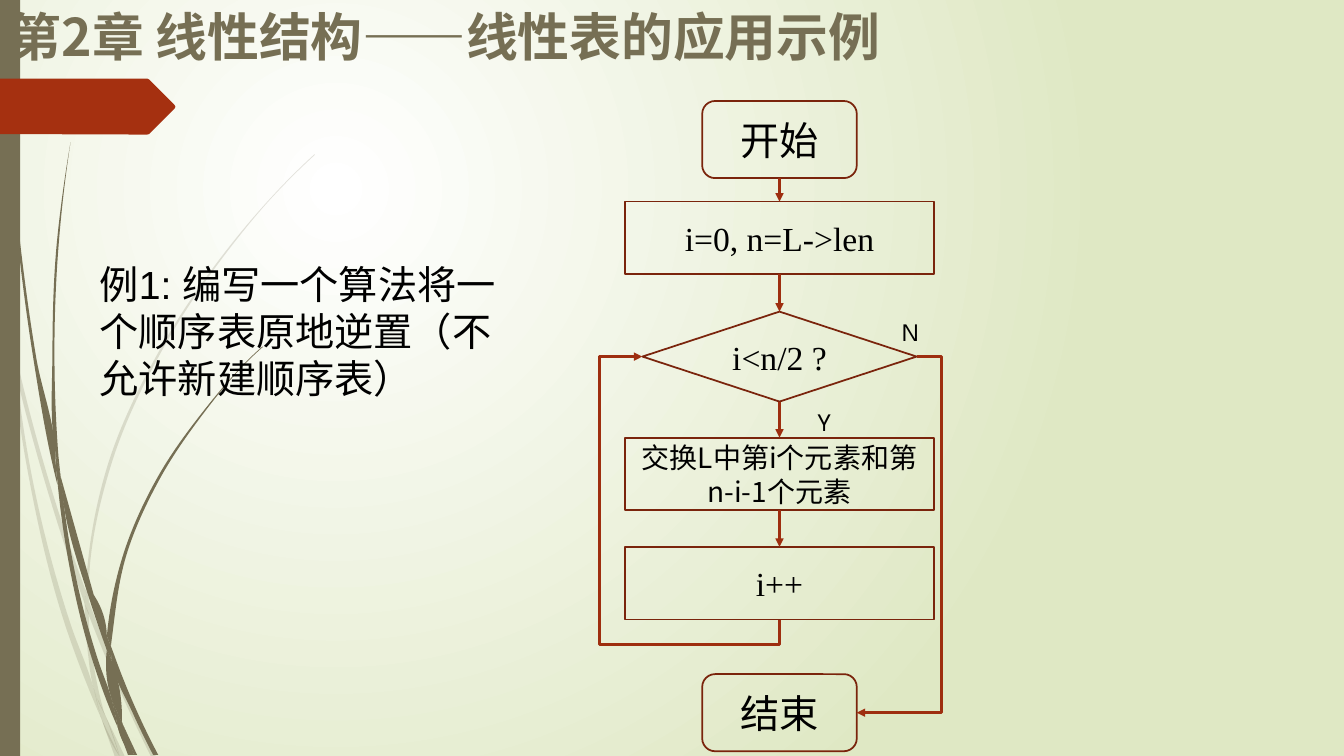
from pptx import Presentation
from pptx import util as u
from pptx.dml.color import RGBColor
from pptx.enum import shapes, text
from pptx.oxml import ns, parse_xml
from lxml import etree

OLIVE = RGBColor(0x76, 0x6F, 0x54)
RUST = RGBColor(0xA5, 0x30, 0x10)
EDGE = RGBColor(0x7A, 0x24, 0x0C)
ARROW = RGBColor(0x9E, 0x2E, 0x0F)
BLACK = RGBColor(0, 0, 0)
HAN, SERIF, SANS, LABEL = "Noto Sans CJK SC", "Times New Roman", "Arial", "League Spartan"

# The slide is a grid of 100 columns by 100 rows
WIDE, HIGH = u.Inches(13.33), u.Inches(7.5)
AXIS = 58  # column through the middle of the flowchart
FINE = 100  # steps in each hundredth of an inch for outlines

# Grass blades in hundredths of an inch: one side | the other side
PALE = """
11,350 9,322 0,282 | 0,299 10,344
17,376 58,522 84,599 | 85,586 62,520 14,345
88,596 92,607 127,692 155,751 | 150,751 123,694 88,610
105,711 119,751 | 124,751
11,350 28,470 65,621 92,693 101,714 | 99,707 93,683 70,619 31,469 17,376
84,599 87,646 93,683 96,692 105,711 | 103,706 91,646 88,610 88,608
85,586 107,461 158,348 228,244 268,197 289,175 312,153 | 312,154 290,175 268,198 229,245 160,349 110,462 88,584 88,596
101,714 114,751 | 119,751
84,599 85,586 | 88,596 88,610
93,683 99,707 101,714 119,751 | 119,751 105,711 96,692
"""
DARK = """
3,0 4,48 7,110 17,233 33,355 56,477 57,481 | 55,457 55,453 36,355 19,232 8,109 5,48 4,0
60,472 64,505 88,592 106,645 | 106,633 106,631 93,590
110,641 111,656 132,708 152,749 | 157,749 136,706 113,649
57,477 68,557 93,659 111,708 117,722 | 116,717 110,691 98,657 72,556 64,505
70,141 62,193 56,245 52,349 55,449 60,472 | 58,453 54,349 58,245 63,193 70,141
122,719 133,749 | 136,749
55,449 55,453 57,477 64,505 | 60,472
106,631 122,551 156,474 204,405 231,373 245,358 260,344 | 261,344 245,359 231,374 205,406 158,476 125,552 111,633 110,641
117,722 127,749 | 131,749
106,645 110,691 116,706 122,719 | 121,716 111,656 109,651
106,631 106,633 106,645 109,651 111,656 | 110,641
110,691 116,717 117,722 130,749 | 133,749 122,719 116,706
"""
RIBBON = "0,78 146,78 148,79 173,104 174,106 173,108 148,133 146,133.5 136,133.5 0,133"


def col(n):
    return round(WIDE * n / 100)


def row(n):
    return round(HIGH * n / 100)


def knots(words):
    return [FINE * complex(*map(float, pair.split(","))) for pair in words.split()]


def bends(pts):
    """Two control points for each stretch of a smooth line."""
    gaps = [b - a for a, b in zip(pts, pts[1:])]
    ways = [g / abs(g) for g in gaps]
    if len(gaps) < 2:
        slopes = ways * 2
    else:
        mid = [(ways[i] * abs(gaps[i + 1]) + ways[i + 1] * abs(gaps[i]))
               / (abs(gaps[i]) + abs(gaps[i + 1])) for i in range(len(gaps) - 1)]
        slopes = [2 * ways[0] - mid[0], *mid, 2 * ways[-1] - mid[-1]]
    return [(pts[i] + slopes[i] * abs(g) / 3, pts[i + 1] - slopes[i + 1] * abs(g) / 3)
            for i, g in enumerate(gaps)]


def plain(shape, color):
    shape.shadow.inherit = False
    shape.fill.solid()
    shape.fill.fore_color.rgb = color
    shape.line.fill.background()


def outline(home, pts, color):
    pairs = [(p.real, p.imag) for p in pts]
    pen = home.build_freeform(*pairs[0], scale=914400 / (100 * FINE))
    pen.add_line_segments(pairs[1:], close=True)
    shape = pen.convert_to_shape()
    plain(shape, color)
    return shape


def blade(home, words, alpha):
    sides = [knots(side) for side in words.split("|")]
    pts = sides[0] + sides[1]
    shape = outline(home, pts, OLIVE)
    props = shape._element.spPr
    left, top = min(p.real for p in pts), min(p.imag for p in pts)
    # Curve both sides, keep the join between them straight
    rules = bends(sides[0]) + [None] + bends(sides[1])
    for line, rule in zip(list(props.iter(ns.qn("a:lnTo"))), rules):
        if rule:
            line.tag = ns.qn("a:cubicBezTo")
            for i, p in enumerate(rule):
                spot = etree.Element(ns.qn("a:pt"))
                spot.set("x", str(round(p.real - left)))
                spot.set("y", str(round(p.imag - top)))
                line.insert(i, spot)
    if alpha:
        tint = props.find(".//" + ns.qn("a:srgbClr"))
        etree.SubElement(tint, ns.qn("a:alpha")).set("val", str(alpha * 1000))


def grass(home, blades, alpha=None):
    group = home.add_group_shape().shapes
    for words in blades.strip().splitlines():
        blade(group, words, alpha)


def write(shape, words, size, font, color=BLACK, bold=None):
    frame = shape.text_frame
    frame.word_wrap = True
    par = frame.paragraphs[0]
    par.text = words
    par.font.size, par.font.name = u.Pt(size), font
    par.font.color.rgb, par.font.bold = color, bold
    return par


def label(home, x, y, w, h, words, size, font, **style):
    box = home.add_textbox(col(x), row(y), col(w), row(h))
    write(box, words, size, font, **style)
    return box


def node(home, kind, mid, w, h, words, size, font):
    """Flowchart step centred on the axis at row mid."""
    shape = home.add_shape(kind, col(AXIS - w / 2), row(mid - h / 2), col(w), row(h))
    shape.shadow.inherit = False
    shape.fill.background()
    shape.line.color.rgb, shape.line.width = EDGE, u.Pt(1.25)
    write(shape, words, size, font).alignment = text.PP_ALIGN.CENTER
    shape.text_frame.vertical_anchor = text.MSO_ANCHOR.MIDDLE
    return shape


def link(home, a, out, b, into, width=2, bend=()):
    """Arrow from side out of a to side into of b, with bend adjustments."""
    kind = shapes.MSO_CONNECTOR.ELBOW if bend else shapes.MSO_CONNECTOR.STRAIGHT
    line = home.add_connector(kind, 0, 0, 0, 0)
    line.begin_connect(a, out)
    line.end_connect(b, into)
    line.line.color.rgb, line.line.width = ARROW, u.Pt(width)
    etree.SubElement(line.line._get_or_add_ln(), ns.qn("a:tailEnd")).set("type", "triangle")
    props = line._element.spPr
    etree.SubElement(props, ns.qn("a:effectLst"))
    guides = props.find(ns.qn("a:prstGeom")).get_or_add_avLst()
    for i, share in enumerate(bend, 1):
        guide = etree.SubElement(guides, ns.qn("a:gd"))
        guide.set("name", f"adj{i}")
        guide.set("fmla", f"val {round(share * 100000)}")
    return line


def turn(line):
    """Make an elbow leave downwards and come in from the left."""
    x, y, w, h = line.left, line.top, line.width, line.height
    line.left, line.top = x + (w - h) // 2, y + (h - w) // 2
    line.width, line.height = h, w
    props = line._element.spPr
    props.find(ns.qn("a:prstGeom")).set("prst", "bentConnector4")
    frame = props.find(ns.qn("a:xfrm"))
    for key, val in (("rot", "5400000"), ("flipH", "1"), ("flipV", "0")):
        frame.set(key, val)


def glow(slide):
    stops = "".join(f'<a:gs pos="{p}"><a:srgbClr val="{c}"/></a:gs>'
                    for p, c in ((0, "FFFFFF"), (100000, "DFE8C4")))
    back = parse_xml(
        f'<p:bg {ns.nsdecls("p", "a")}><p:bgPr><a:gradFill rotWithShape="1">'
        f'<a:gsLst>{stops}</a:gsLst><a:path path="circle">'
        '<a:fillToRect l="50000" t="50000" r="100000" b="100000"/></a:path>'
        '</a:gradFill><a:effectLst/></p:bgPr></p:bg>')
    slide._element.cSld.insert(0, back)


def chart(home):
    group = home.add_group_shape().shapes
    kinds = shapes.MSO_SHAPE
    cap, step = (11.5, 10.2), (22.95, 9.6)
    start = node(group, kinds.ROUNDED_RECTANGLE, 18.46, *cap, "开始", 28, HAN)
    init = node(group, kinds.RECTANGLE, 31.46, *step, "i=0, n=L->len", 24, SERIF)
    test = node(group, kinds.DIAMOND, 47.17, 20.4, 11.9, "i<n/2 ?", 24, SERIF)
    swap = node(group, kinds.RECTANGLE, 62.7, *step, "交换L中第i个元素和第n-i-1个元素", 20, HAN)
    count = node(group, kinds.RECTANGLE, 77.15, *step, "i++", 24, SERIF)
    end = node(group, kinds.ROUNDED_RECTANGLE, 94.27, *cap, "结束", 28, HAN)
    # Steps downwards, then the loop back and the way out
    link(group, start, 2, init, 0, width=1.75)
    for a, b in ((init, test), (test, swap), (swap, count)):
        link(group, a, 2, b, 0)
    turn(link(group, count, 2, test, 1, bend=(-0.096, 1.31)))
    link(group, test, 3, end, 3, bend=(-0.42,))
    label(group, 60.1, 53.1, 3.6, 5.3, "Y", 18, LABEL)
    label(group, 66.38, 41.2, 3.6, 5.3, "N", 18, LABEL)


def main():
    deck = Presentation()
    deck.slide_width, deck.slide_height = WIDE, HIGH
    slide = deck.slides.add_slide(deck.slide_layouts[6])
    home = slide.shapes
    # Backdrop
    glow(slide)
    grass(home, PALE, alpha=20)
    grass(home, DARK)
    plain(home.add_shape(shapes.MSO_SHAPE.RECTANGLE, 0, 0, col(1.5), HIGH), OLIVE)
    outline(home, knots(RIBBON), RUST)
    # Title and task
    label(home, 0, 0, 70.5, 11.7, "第2章 线性结构——线性表的应用示例", 37, HAN, color=OLIVE, bold=True)
    task = label(home, 6.68, 33.76, 31, 20.1, "例1: 编写一个算法将一个顺序表原地逆置（不允许新建顺序表）", 28, SANS)
    task.text_frame.auto_size = text.MSO_AUTO_SIZE.SHAPE_TO_FIT_TEXT
    # Flowchart
    chart(home)
    deck.save("out.pptx")


if __name__ == "__main__":
    main()
